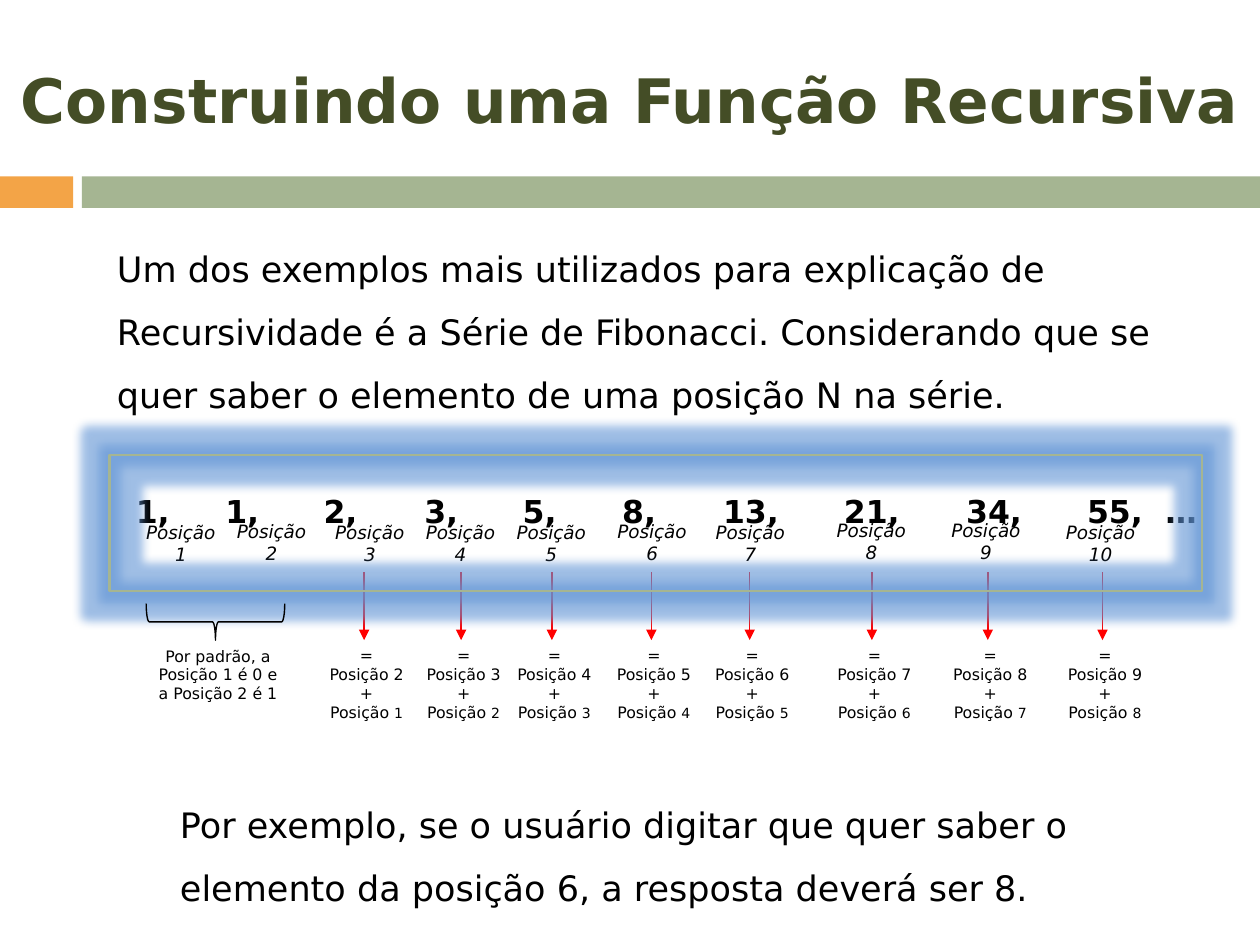
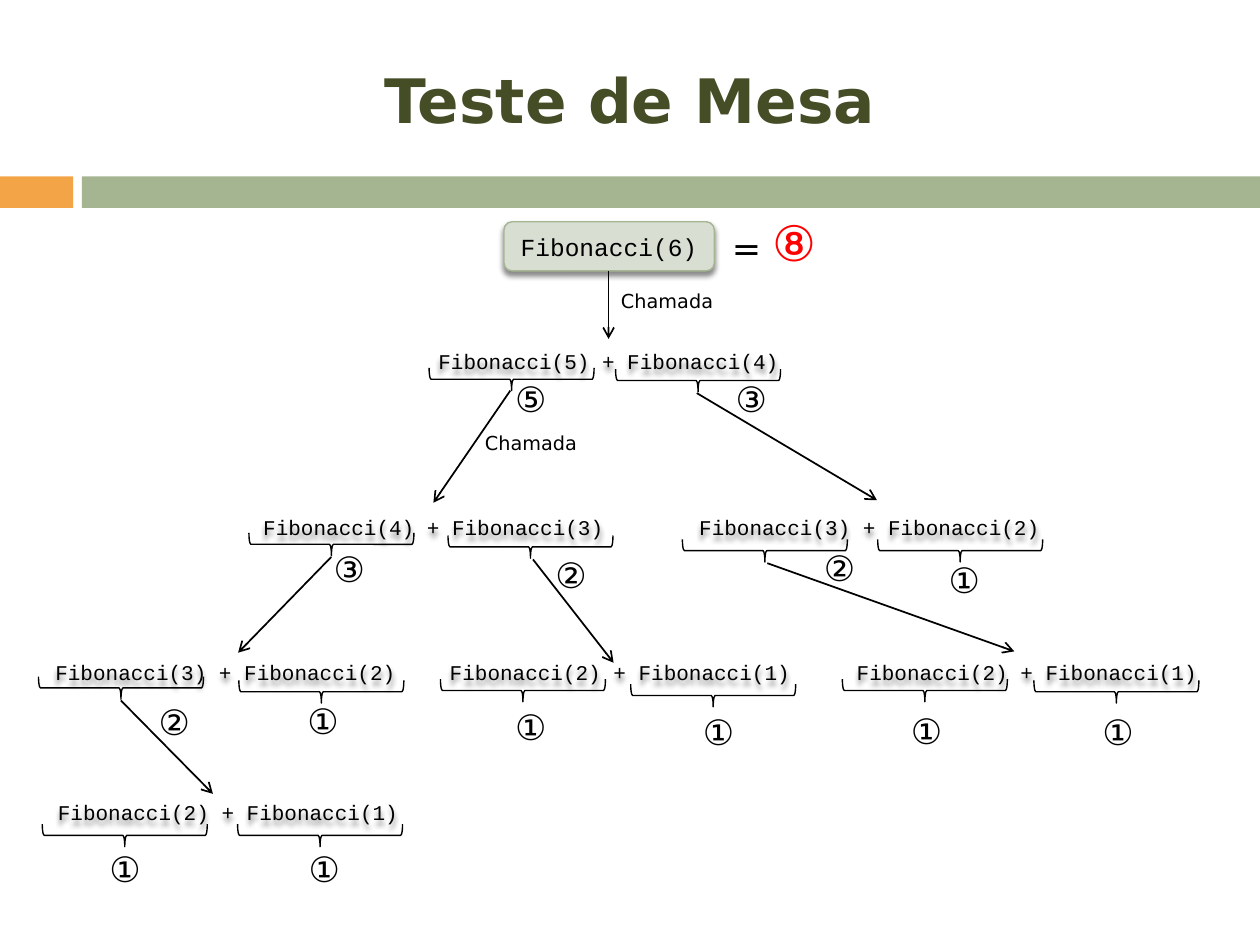
from dataclasses import dataclass

from lxml import etree
from pptx import Presentation
from pptx.dml.color import RGBColor
from pptx.enum.shapes import MSO_CONNECTOR, MSO_SHAPE
from pptx.enum.text import MSO_ANCHOR, PP_ALIGN
from pptx.oxml import parse_xml
from pptx.oxml.ns import nsdecls, qn
from pptx.util import Inches, Pt

RECTANGLE = MSO_SHAPE.RECTANGLE
ROUNDED = MSO_SHAPE.ROUNDED_RECTANGLE
BRACE = MSO_SHAPE.RIGHT_BRACE
STRAIGHT = MSO_CONNECTOR.STRAIGHT
MIDDLE = MSO_ANCHOR.MIDDLE
LEFT, CENTER = PP_ALIGN.LEFT, PP_ALIGN.CENTER
TITLE_ONLY = 5


@dataclass(frozen=True)
class Theme:
    """Colours, fonts and type sizes shared by the slides."""
    orange: str = "F3A447"
    green: str = "A5B592"
    pale_green: str = "D8DED2"
    olive: str = "444D26"
    black: str = "000000"
    red: str = "FF0000"
    glow: str = "5F93D5"
    sans: str = "DejaVu Sans"
    mono: str = "Courier New"
    title: float = 35
    result: float = 28
    body: float = 20
    term: float = 18
    root_call: float = 14
    call: float = 12
    caption: float = 11
    label: float = 10.5
    note: float = 9
    note_end: float = 8
    thin: float = 0.79


THEME = Theme()

# term, left of term, left of label, top of label, left of formula
SERIES = [
    ("1,", 1.08, 1.06, 4.09, None),
    ("1,", 1.79, 1.78, 4.08, None),
    ("2,", 2.57, 2.56, 4.09, 2.51),
    ("3,", 3.37, 3.28, 4.09, 3.28),
    ("5,", 4.15, 4.00, 4.09, 4.00),
    ("8,", 4.94, 4.80, 4.08, 4.79),
    ("13,", 5.74, 5.58, 4.09, 5.57),
    ("21,", 6.70, 6.54, 4.07, 6.54),
    ("34,", 7.67, 7.45, 4.07, 7.46),
    ("55,", 8.63, 8.36, 4.09, 8.37),
]

# left, top, first argument of the two added calls
CALL_PAIRS = [
    (3.35, 2.67, 5),
    (1.96, 3.99, 4), (5.42, 3.99, 3),
    (0.31, 5.14, 3), (3.44, 5.14, 2), (6.67, 5.14, 2),
    (0.33, 6.25, 2),
]

# brace centre, brace top, returned value, left and top of value
RETURNS = [
    (4.06, 2.92, "⑤", 3.99, 2.95), (5.54, 2.93, "③", 5.74, 2.95),
    (2.63, 4.23, "③", 2.55, 4.30), (4.21, 4.25, "②", 4.31, 4.34),
    (6.07, 4.28, "②", 6.44, 4.29), (7.62, 4.28, "①", 7.43, 4.38),
    (0.96, 5.37, "②", 1.16, 5.51), (2.55, 5.40, "①", 2.34, 5.50),
    (4.15, 5.39, "①", 3.99, 5.55), (5.66, 5.43, "①", 5.48, 5.59),
    (7.34, 5.39, "①", 7.13, 5.58), (8.86, 5.40, "①", 8.65, 5.59),
    (0.99, 6.54, "①", 0.77, 6.68), (2.54, 6.54, "①", 2.35, 6.68),
]

CALL_ARROWS = [
    ((4.83, 2.15), (4.83, 2.69)),
    ((4.05, 3.10), (3.44, 3.99)),
    ((5.53, 3.12), (6.96, 3.97)),
    ((2.63, 4.42), (1.89, 5.18)),
    ((4.23, 4.44), (4.87, 5.26)),
    ((6.09, 4.47), (8.05, 5.17)),
    ((0.96, 5.56), (1.69, 6.30)),
]


def color(value):
    """Turn a hex string into a colour."""
    return RGBColor.from_string(value)


def style_font(font, size, shade=THEME.black, name=THEME.sans, bold=False, italic=False):
    """Set every font property used in the deck."""
    font.size, font.name = Pt(size), name
    font.bold, font.italic = bold, italic
    font.color.rgb = color(shade)


def write_lines(frame, lines, size, align=LEFT, spacing=None, **style):
    """Fill a text frame with one paragraph per line and return the last one."""
    for index, line in enumerate(lines):
        para = frame.add_paragraph() if index else frame.paragraphs[0]
        para.text, para.alignment = line, align
        if spacing:
            para.line_spacing = spacing
        style_font(para.font, size, **style)
    return para


def add_text(slide, area, lines, size, wrap=False, **style):
    """Add a text box and return its last paragraph."""
    box = slide.shapes.add_textbox(*map(Inches, area))
    box.text_frame.word_wrap = wrap
    return write_lines(box.text_frame, lines, size, **style)


def add_box(slide, kind, area, fill=None, line=None, width=THEME.thin):
    """Add a preset shape without the default look."""
    box = slide.shapes.add_shape(kind, *map(Inches, area))
    box.shadow.inherit = False
    if fill:
        box.fill.solid()
        box.fill.fore_color.rgb = color(fill)
    else:
        box.fill.background()
    if line:
        box.line.color.rgb = color(line)
        box.line.width = Pt(width)
    else:
        box.line.fill.background()
    return box


def add_effect(box, tag, shade, alpha, **attributes):
    """Put a glow or shadow in the effect list of a shape."""
    effects = box.element.spPr.find(qn("a:effectLst"))
    settings = " ".join(f'{key}="{value}"' for key, value in attributes.items())
    effects.append(parse_xml(
        f'<a:{tag} {nsdecls("a")} {settings}><a:srgbClr val="{shade}">'
        f'<a:alpha val="{alpha * 1000}"/></a:srgbClr></a:{tag}>'))


def add_arrow(slide, start, end, shade=THEME.black, width=1, head="arrow"):
    """Draw a straight arrow between two points."""
    arrow = slide.shapes.add_connector(STRAIGHT, *map(Inches, (*start, *end)))
    arrow.line.color.rgb = color(shade)
    arrow.line.width = Pt(width)
    properties = arrow.element.spPr
    etree.SubElement(properties.find(qn("a:ln")), qn("a:tailEnd"), type=head)
    etree.SubElement(properties, qn("a:effectLst"))


def add_brace(slide, center, top, width, depth):
    """Draw a brace that points down and spans the given width."""
    area = (center - depth / 2, top + (depth - width) / 2, depth, width)
    add_box(slide, BRACE, area, line=THEME.black).rotation = 90


def add_call(slide, area, text, size, **look):
    """Add a rounded box with a function call and a soft shadow."""
    box = add_box(slide, ROUNDED, area, **look)
    add_effect(box, "outerShdw", THEME.black, 45,
               blurRad=Pt(3), dist=Pt(2.4), dir=5400000, rotWithShape=0)
    frame = box.text_frame
    frame.margin_left = frame.margin_right = 0
    frame.vertical_anchor = MIDDLE
    write_lines(frame, [text], size, align=CENTER, name=THEME.mono)


def add_layout_bands(slide):
    """Draw the two bands and hand them to the layout of the slide."""
    bands = [(0, 0.58, THEME.orange), (0.65, 9.35, THEME.green)]
    for index, (left, width, fill) in enumerate(bands):
        band = add_box(slide, RECTANGLE, (left, 1.4, width, 0.25), fill)
        band.element.nvSpPr.cNvPr.set("id", str(20 + index))
        slide.slide_layout.shapes.element.insert(2 + index, band.element)


def add_slide(deck, text):
    """Add a slide with the shared title style."""
    slide = deck.slides.add_slide(deck.slide_layouts[TITLE_ONLY])
    title = slide.shapes.title
    title.left, title.top, title.width, title.height = map(Inches, (0, 0.32, 10, 0.93))
    title.text_frame.vertical_anchor = MIDDLE
    write_lines(title.text_frame, [text], THEME.title, align=CENTER,
                shade=THEME.olive, bold=True)
    return slide


def add_position(slide, number, term, term_left, label_left, label_top, formula_left):
    """Add one term of the series with its label and formula."""
    add_text(slide, (term_left - 0.1, 3.86, 0.8, 0.4), [term], THEME.term,
             wrap=True, bold=True)
    add_text(slide, (label_left, label_top, 0.75, 0.45), ["Posição", str(number)],
             THEME.label, align=CENTER, italic=True)
    if formula_left is None:
        return
    center = formula_left + 0.38
    add_arrow(slide, (center, 4.54), (center, 5.08), THEME.red, THEME.thin, "triangle")
    last = add_text(slide, (formula_left, 5.08, 0.8, 0.84),
                    ["=", f"Posição {number - 1}", "+", "Posição "],
                    THEME.note, align=CENTER)
    span = last.add_run()
    span.text = str(number - 2)
    span.font.size = Pt(THEME.note_end)


def build_series(slide):
    """Fill the slide that explains the Fibonacci series."""
    add_text(slide, (0.83, 1.75, 8.92, 1.7),
             ["Um dos exemplos mais utilizados para explicação de Recursividade é a "
              "Série de Fibonacci. Considerando que se quer saber o elemento de uma "
              "posição N na série."], THEME.body, wrap=True, spacing=1.5)
    add_text(slide, (1.33, 6.16, 8.42, 1.2),
             ["Por exemplo, se o usuário digitar que quer saber o elemento da "
              "posição 6, a resposta deverá ser 8."], THEME.body, wrap=True, spacing=1.5)
    for number, column in enumerate(SERIES, start=1):
        add_position(slide, number, *column)
    add_text(slide, (9.15, 3.86, 0.6, 0.4), ["…"], THEME.term, wrap=True, bold=True)
    frame = add_box(slide, RECTANGLE, (0.87, 3.61, 8.67, 1.08), line=THEME.green, width=1.5)
    add_effect(frame, "glow", THEME.glow, 60, rad=Pt(11))
    add_brace(slide, 1.71, 4.79, 1.1, 0.29)
    add_text(slide, (1.15, 5.08, 1.16, 0.69),
             ["Por padrão, a", "Posição 1 é 0 e", "a Posição 2 é 1"],
             THEME.note, align=CENTER)


def build_call_tree(slide):
    """Fill the slide that traces the recursive calls."""
    add_call(slide, (4, 1.76, 1.67, 0.39), "Fibonacci(6)", THEME.root_call,
             fill=THEME.pale_green, line=THEME.green)
    for left, top, number in CALL_PAIRS:
        add_call(slide, (left, top, 2.96, 0.39),
                 f"Fibonacci({number}) + Fibonacci({number - 1})", THEME.call)
    for start, end in CALL_ARROWS:
        add_arrow(slide, start, end)
    for left, top in [(4.83, 2.25), (3.75, 3.37)]:
        add_text(slide, (left, top, 0.93, 0.29), ["Chamada"], THEME.caption)
    for center, brace_top, value, left, top in RETURNS:
        add_brace(slide, center, brace_top, 1.31, 0.18)
        add_text(slide, (left, top, 0.45, 0.44), [value], THEME.body)
    equation = add_text(slide, (5.71, 1.64, 0.88, 0.57), ["= "], THEME.body)
    span = equation.add_run()
    span.text = "⑧"
    style_font(span.font, THEME.result, THEME.red)


def main():
    """Build the deck and save it."""
    deck = Presentation()
    deck.slide_width, deck.slide_height = Inches(10), Inches(7.5)
    series = add_slide(deck, "Construindo uma Função Recursiva")
    add_layout_bands(series)
    build_series(series)
    build_call_tree(add_slide(deck, "Teste de Mesa"))
    deck.save("out.pptx")


if __name__ == "__main__":
    main()
